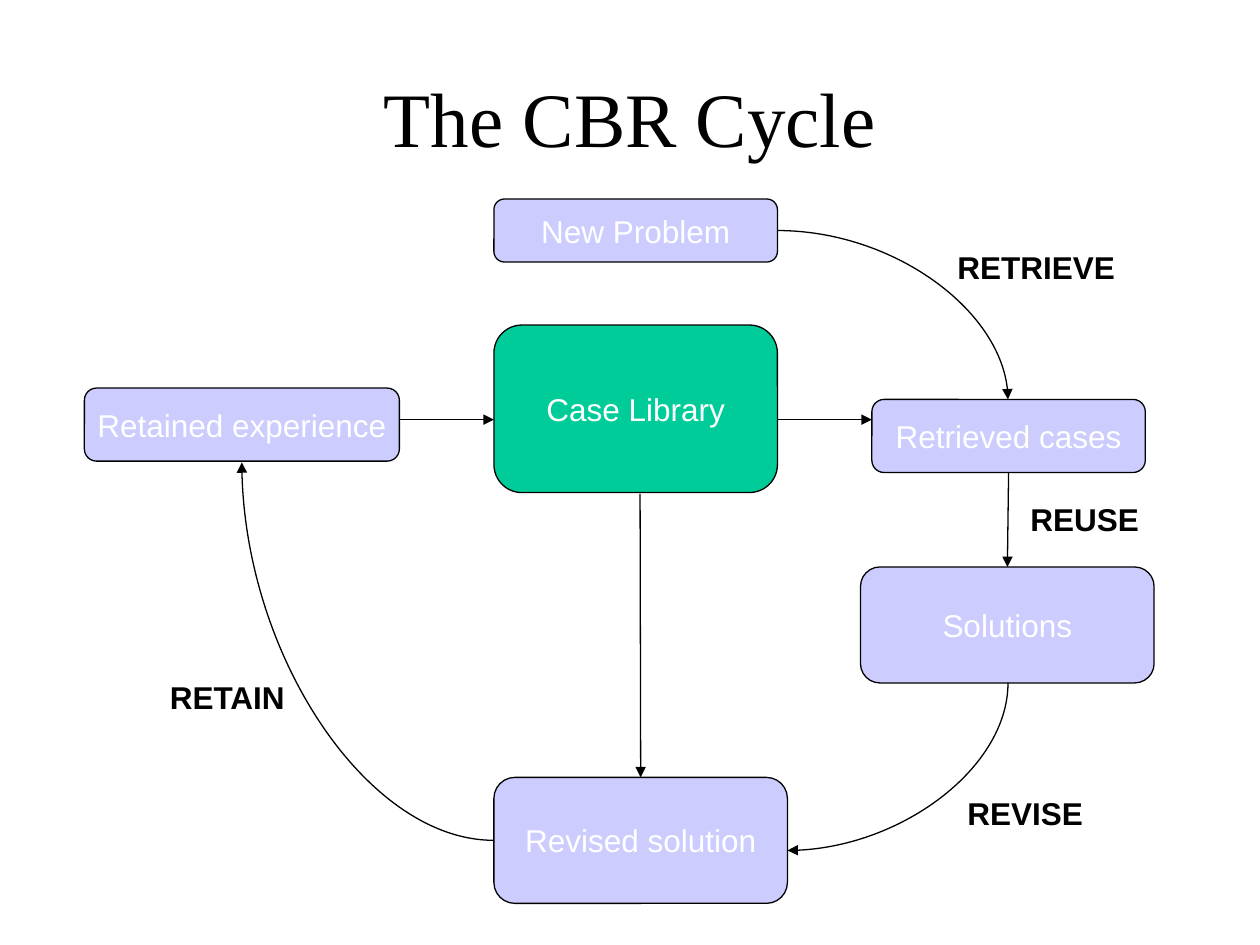
"""Build the CBR cycle diagram slide."""
from dataclasses import dataclass, field

from lxml import etree
from pptx import Presentation
from pptx import util as u
from pptx.dml.color import RGBColor
from pptx.enum import shapes, text
from pptx.oxml.ns import qn

COLORS = {"ink": "000000", "paper": "FFFFFF", "library": "00CC99", "stage": "CCCCFF"}


@dataclass
class CycleSlide:
    """Hold the style and the current slide, and draw each kind of element."""
    page: object
    font: str = "Arial"
    size: int = 18
    line_width: float = 0.75
    colors: dict = field(default_factory=lambda: COLORS)

    def color(self, name):
        """Return a named colour."""
        return RGBColor.from_string(self.colors[name])

    def add_words(self, frame, words, color, align, size=None, font=None, bold=False):
        """Add one formatted run to a text frame."""
        para = frame.paragraphs[0]
        para.alignment = align
        span = para.add_run()
        span.text = words
        span.font.name = font or self.font
        span.font.size = u.Pt(size or self.size)
        span.font.bold = bold
        span.font.color.rgb = self.color(color)
        return para

    def title(self, words, left, top, width, height):
        """Place and fill the title placeholder."""
        box = self.page.shapes.title
        box.left, box.top = u.Inches(left), u.Inches(top)
        box.width, box.height = u.Inches(width), u.Inches(height)
        frame = box.text_frame
        frame.auto_size = text.MSO_AUTO_SIZE.NONE
        frame.vertical_anchor = text.MSO_ANCHOR.MIDDLE
        self.add_words(frame, words, "ink", text.PP_ALIGN.CENTER, 44, "Times New Roman")

    def stage(self, words, left, top, width, height, fill="stage"):
        """Draw a rounded box with centred words."""
        box = self.page.shapes.add_shape(
            shapes.MSO_SHAPE.ROUNDED_RECTANGLE,
            u.Inches(left), u.Inches(top), u.Inches(width), u.Inches(height))
        box.shadow.inherit = False
        box.fill.solid()
        box.fill.fore_color.rgb = self.color(fill)
        box.line.color.rgb = self.color("ink")
        box.line.width = u.Pt(self.line_width)
        frame = box.text_frame
        frame.word_wrap = False
        frame.vertical_anchor = text.MSO_ANCHOR.MIDDLE
        self.add_words(frame, words, "paper", text.PP_ALIGN.CENTER)
        return box

    def label(self, words, left, top, width):
        """Add a bold step name."""
        box = self.page.shapes.add_textbox(
            u.Inches(left), u.Inches(top), u.Inches(width), u.Inches(0.4))
        frame = box.text_frame
        frame.word_wrap = True
        frame.auto_size = text.MSO_AUTO_SIZE.SHAPE_TO_FIT_TEXT
        para = self.add_words(frame, words, "ink", text.PP_ALIGN.LEFT, bold=True)
        para.space_before = u.Pt(11.2)

    def arrow(self, start, end, kind=shapes.MSO_CONNECTOR.STRAIGHT):
        """Draw a connector with an arrowhead at its end."""
        line = self.page.shapes.add_connector(
            kind, *(u.Inches(value) for value in (*start, *end)))
        line.line.color.rgb = self.color("ink")
        line.line.width = u.Pt(self.line_width)
        properties = line.element.spPr
        etree.SubElement(properties.find(qn("a:ln")), qn("a:tailEnd"), type="triangle")
        etree.SubElement(properties, qn("a:effectLst"))
        return line

    def curve(self, start, end, turn=0):
        """Draw a quarter-bend arrow, turned clockwise by the given degrees."""
        line = self.arrow(start, end, shapes.MSO_CONNECTOR.CURVE)
        properties = line.element.spPr
        properties.find(qn("a:prstGeom")).set("prst", "curvedConnector2")
        properties.find(qn("a:xfrm")).set("rot", str(turn * 60000))

    def falling_curve(self, start, end):
        """Draw a curve that leaves downwards and arrives leftwards."""
        middle_x, middle_y = (start[0] + end[0]) / 2, (start[1] + end[1]) / 2
        half_width, half_height = (end[1] - start[1]) / 2, (start[0] - end[0]) / 2
        self.curve((middle_x - half_width, middle_y - half_height),
                   (middle_x + half_width, middle_y + half_height), turn=90)


def main():
    """Build and save the deck."""
    deck = Presentation()
    deck.slide_width, deck.slide_height = u.Inches(10), u.Inches(7.5)
    cycle = CycleSlide(deck.slides.add_slide(deck.slide_layouts[5]))

    cycle.title("The CBR Cycle", 0.5, 0.3, 9, 1.25)
    cycle.stage("Case Library", 3.92, 2.58, 2.25, 1.33, "library")
    cycle.stage("New Problem", 3.92, 1.58, 2.25, 0.5)
    retrieved = cycle.stage("Retrieved cases", 6.92, 3.17, 2.17, 0.58)
    solutions = cycle.stage("Solutions", 6.83, 4.5, 2.33, 0.92)
    revised = cycle.stage("Revised solution", 3.92, 6.17, 2.33, 1)
    cycle.stage("Retained experience", 0.67, 3.08, 2.5, 0.58)

    cycle.arrow((3.17, 3.33), (3.92, 3.33))
    cycle.arrow((6.17, 3.33), (6.92, 3.33))
    reuse = cycle.arrow((8, 3.75), (8, 4.5))
    reuse.begin_connect(retrieved, 2)
    reuse.end_connect(solutions, 0)
    revision = cycle.arrow((5.08, 3.92), (5.08, 6.17))
    revision.end_connect(revised, 0)

    cycle.curve((6.17, 1.83), (8, 3.17))
    cycle.curve((3.92, 6.67), (1.92, 3.67))
    cycle.falling_curve((8, 5.42), (6.25, 6.75))

    for words, left, top, width in (
            ("RETRIEVE", 7.5, 1.92, 1.92), ("REUSE", 8.08, 3.92, 1.08),
            ("REVISE", 7.58, 6.25, 1.58), ("RETAIN", 1.25, 5.33, 1.5)):
        cycle.label(words, left, top, width)

    deck.save("out.pptx")


if __name__ == "__main__":
    main()
